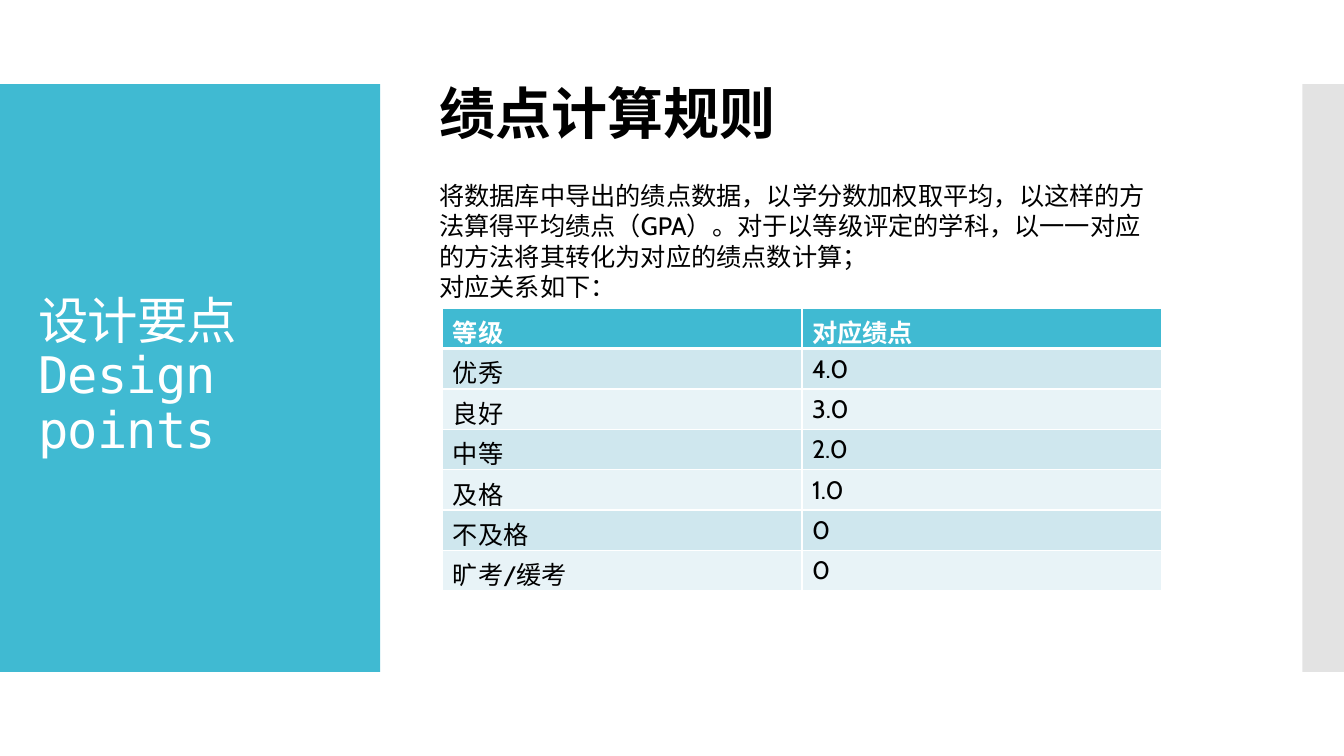
"""Build the slide that explains the grade point rules."""
from lxml import etree
from pptx import Presentation
from pptx.dml.color import RGBColor
from pptx.enum.shapes import MSO_SHAPE
from pptx.enum.text import MSO_ANCHOR
from pptx.oxml import parse_xml
from pptx.oxml.ns import nsdecls, qn
from pptx.util import Inches, Pt

RECT = MSO_SHAPE.RECTANGLE
MIDDLE = MSO_ANCHOR.MIDDLE
TEAL, WHITE, BLACK = "40BAD2", "FFFFFF", "000000"
BANDS = ["E8F3F7", "CFE7EE"]

prs = Presentation()
prs.slide_width, prs.slide_height = Inches(13.33), Inches(7.5)
U = prs.slide_height / 18
s = prs.slides.add_slide(prs.slide_layouts[6])


def rgb(color):
    """Turn a hex string into a colour."""
    return RGBColor.from_string(color)


def add_run(p, text, size, color, bold=False, font="Cabin"):
    """Append one styled run to a paragraph."""
    r = p.add_run()
    r.text = text
    r.font.size, r.font.bold, r.font.name = Pt(size), bold, font
    r.font.color.rgb = rgb(color)
    return r


for col, width, color, alpha in [(0, 9.05, TEAL, 100), (31, 1, "C8C8C8", 50)]:
    sp = s.shapes.add_shape(RECT, int(col * U), int(2 * U), int(width * U), int(14 * U))
    sp.shadow.inherit = False
    sp.fill.solid()
    sp.fill.fore_color.rgb = rgb(color)
    sp.line.fill.background()
    fill_color = sp.fill._xPr.find(qn("a:solidFill"))[0]
    etree.SubElement(fill_color, qn("a:alpha"), val=str(alpha * 1000))

frames = []
for box in [(0.67, 2.95, 7.73, 12.07), (10.22, 1.75, 14.18, 1.85), (10.22, 4.18, 17.3, 3.14)]:
    tf = s.shapes.add_textbox(*[int(n * U) for n in box]).text_frame
    tf.word_wrap = True
    frames.append(tf)
title, heading, body = frames

title.vertical_anchor = MIDDLE
p = title.paragraphs[0]
p.line_spacing = 0.9
runs = [add_run(p, "设计要点", 36, WHITE)]
p.add_line_break()
runs.append(add_run(p, "Design points", 36, WHITE, font="DejaVu Sans Mono"))
for r in runs:
    r.font._element.set("spc", "-60")

add_run(heading.paragraphs[0], "绩点计算规则", 40, BLACK, True)

add_run(body.paragraphs[0], "将数据库中导出的绩点数据，以学分数加权取平均，以这样的方法算得平均绩点"
        "（GPA）。对于以等级评定的学科，以一一对应的方法将其转化为对应的绩点数计算；", 18, BLACK)
add_run(body.add_paragraph(), "对应关系如下：", 18, BLACK)

grades = [("等级", "对应绩点"), ("优秀", "4.0"), ("良好", "3.0"), ("中等", "2.0"),
          ("及格", "1.0"), ("不及格", "0"), ("旷考/缓考", "0")]
table = s.shapes.add_table(len(grades), 2, int(10.54 * U), int(7.34 * U),
                           int(17.1 * U), int(6.72 * U)).table
for i, row in enumerate(grades):
    header = i == 0
    for j, text in enumerate(row):
        cell = table.cell(i, j)
        tcPr = cell._tc.get_or_add_tcPr()
        for side in "LRTB":
            thick = (header and side == "B") or (i == 1 and side == "T")
            tcPr.append(parse_xml(
                f'<a:ln{side} {nsdecls("a")} w="{Pt(3 if thick else 1)}"><a:solidFill>'
                f'<a:srgbClr val="{WHITE}"/></a:solidFill></a:ln{side}>'))
        cell.fill.solid()
        cell.fill.fore_color.rgb = rgb(TEAL if header else BANDS[i % 2])
        add_run(cell.text_frame.paragraphs[0], text, 18, WHITE if header else BLACK, header)

prs.save("out.pptx")
